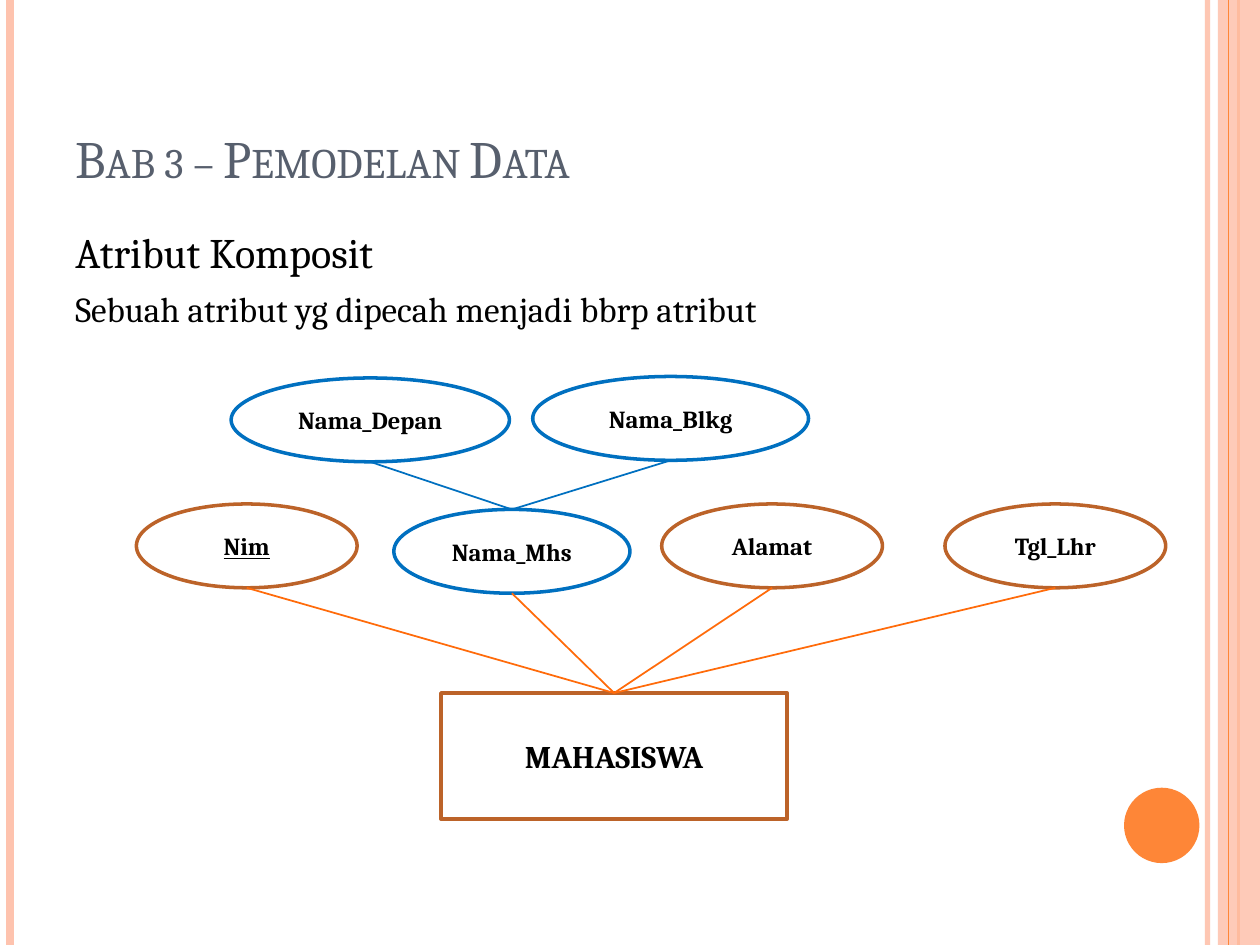
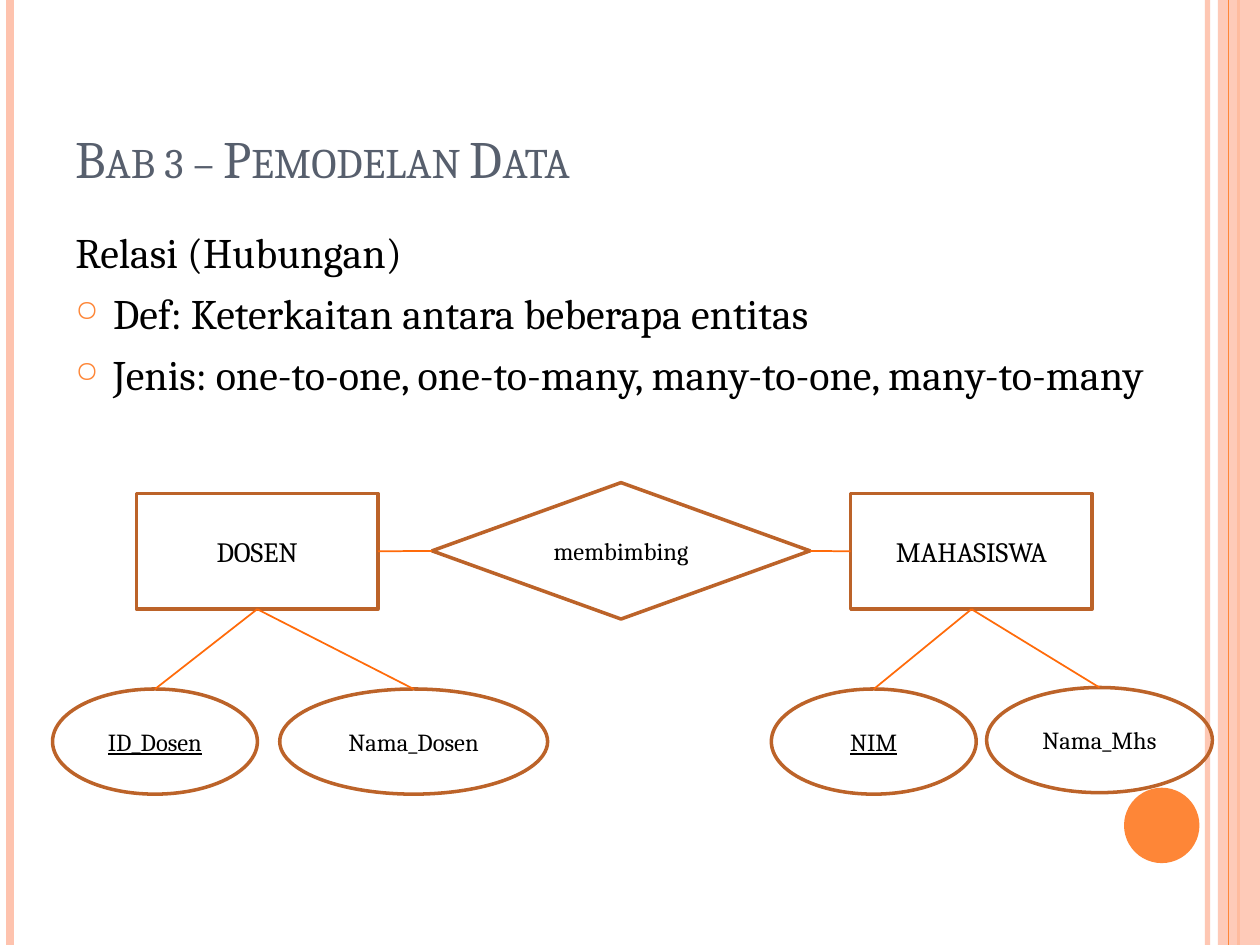
"""Builds two slides on data modelling: composite attributes and relations."""
from dataclasses import dataclass

from lxml import etree
from pptx import Presentation
from pptx.dml.color import RGBColor
from pptx.enum.shapes import MSO_CONNECTOR, MSO_SHAPE
from pptx.enum.text import MSO_ANCHOR, PP_ALIGN
from pptx.oxml.ns import qn
from pptx.util import Cm, Pt

RECTANGLE = MSO_SHAPE.RECTANGLE
ELLIPSE = MSO_SHAPE.OVAL
DIAMOND = MSO_SHAPE.FLOWCHART_DECISION
STRAIGHT = MSO_CONNECTOR.STRAIGHT
MIDDLE, BOTTOM, TOP = MSO_ANCHOR.MIDDLE, MSO_ANCHOR.BOTTOM, MSO_ANCHOR.TOP
CENTER = PP_ALIGN.CENTER


@dataclass(frozen=True)
class Theme:
    font: str = "Cambria"
    title: str = "575F6D"
    text: str = "000000"
    accent: str = "FE8637"
    band: str = "FEC3AE"
    outline: str = "BC6329"
    link: str = "FF6B0A"
    composite: str = "0070C0"
    title_size: float = 30
    body_size: float = 24
    detail_size: float = 20
    attribute_size: float = 14
    outline_width: float = 2
    link_width: float = 1


THEME = Theme()
WIDTH, HEIGHT = 25.4, 19.05
TITLE = "Bab 3 – Pemodelan Data"
TITLE_BOX = (1.27, 0.76, 20.75, 3.18)
SIDES = {"top": (0.5, 0), "bottom": (0.5, 1), "left": (0, 0.5), "right": (1, 0.5)}

# Each node: name, shape, box in cm, outline, key attribute.
# Each link: start name, start side, end name, end side, colour.
SLIDES = [
    {
        "body_width": 20.75,
        "body": [
            ("Atribut Komposit", THEME.body_size, False),
            ("Sebuah atribut yg dipecah menjadi bbrp atribut", THEME.detail_size, False),
        ],
        "bold": True,
        "entity_size": 18,
        "nodes": [
            ("MAHASISWA", RECTANGLE, (8.89, 13.97, 6.98, 2.54), THEME.outline, False),
            ("Nim", ELLIPSE, (2.75, 10.16, 4.45, 1.69), THEME.outline, True),
            ("Nama_Mhs", ELLIPSE, (7.94, 10.27, 4.76, 1.69), THEME.composite, False),
            ("Alamat", ELLIPSE, (13.34, 10.16, 4.45, 1.69), THEME.outline, False),
            ("Tgl_Lhr", ELLIPSE, (19.05, 10.16, 4.45, 1.69), THEME.outline, False),
            ("Nama_Depan", ELLIPSE, (4.66, 7.62, 5.61, 1.69), THEME.composite, False),
            ("Nama_Blkg", ELLIPSE, (10.74, 7.59, 5.56, 1.69), THEME.composite, False),
        ],
        "links": [
            *[("MAHASISWA", "top", name, "bottom", THEME.link)
              for name in ("Nim", "Nama_Mhs", "Alamat", "Tgl_Lhr")],
            *[("Nama_Mhs", "top", name, "bottom", THEME.composite)
              for name in ("Nama_Depan", "Nama_Blkg")],
        ],
    },
    {
        "body_width": 22.43,
        "body": [
            ("Relasi (Hubungan)", THEME.body_size, False),
            ("Def: Keterkaitan antara beberapa entitas", THEME.body_size, True),
            ("Jenis: one-to-one, one-to-many, many-to-one, many-to-many",
             THEME.body_size, True),
        ],
        "bold": False,
        "entity_size": 16,
        "nodes": [
            ("DOSEN", RECTANGLE, (2.75, 9.95, 4.87, 2.33), THEME.outline, False),
            ("MAHASISWA", RECTANGLE, (17.15, 9.95, 4.87, 2.33), THEME.outline, False),
            ("membimbing", DIAMOND, (8.71, 9.73, 7.62, 2.75), THEME.outline, False),
            ("ID_Dosen", ELLIPSE, (1.06, 13.89, 4.13, 2.12), THEME.outline, True),
            ("Nama_Dosen", ELLIPSE, (5.64, 13.89, 5.4, 2.12), THEME.outline, False),
            ("NIM", ELLIPSE, (15.55, 13.89, 4.13, 2.12), THEME.outline, True),
            ("Nama_Mhs", ELLIPSE, (19.89, 13.86, 4.55, 2.12), THEME.outline, False),
        ],
        "links": [
            *[(entity, "bottom", name, "top", THEME.link)
              for entity, name in (("DOSEN", "ID_Dosen"), ("DOSEN", "Nama_Dosen"),
                                   ("MAHASISWA", "NIM"), ("MAHASISWA", "Nama_Mhs"))],
            ("DOSEN", "right", "membimbing", "left", THEME.link),
            ("membimbing", "right", "MAHASISWA", "left", THEME.link),
        ],
    },
]


def lengths(values):
    return [Cm(value) for value in values]


def rgb(color):
    return RGBColor.from_string(color)


def set_opacity(shape, percent):
    for color in shape.element.iter(qn("a:srgbClr")):
        etree.SubElement(color, qn("a:alpha"), val=str(percent * 1000))


def add_line(slide, start, end, color, width):
    line = slide.shapes.add_connector(STRAIGHT, *lengths((*start, *end)))
    line.line.color.rgb = rgb(color)
    line.line.width = Pt(width)
    etree.SubElement(line.element.spPr, qn("a:effectLst"))
    return line


def add_filled(slide, kind, box, color):
    shape = slide.shapes.add_shape(kind, *lengths(box))
    shape.shadow.inherit = False
    shape.fill.solid()
    shape.fill.fore_color.rgb = rgb(color)
    shape.line.fill.background()
    return shape


def style_font(font, size, color=THEME.text):
    font.name = THEME.font
    font.size = Pt(size)
    font.color.rgb = rgb(color)


def add_vertical(slide, x, color, width):
    return add_line(slide, (x, 0), (x, HEIGHT), color, width)


def add_frame(slide):
    set_opacity(add_vertical(slide, 24.34, THEME.band, 3), 93)
    add_vertical(slide, 0.21, THEME.band, 4.5)
    add_vertical(slide, 24.97, THEME.accent, 1.5)
    set_opacity(add_filled(slide, RECTANGLE, (24.55, 0, 0.85, HEIGHT), THEME.band), 87)
    add_vertical(slide, 24.76, THEME.accent, 0.75)
    add_filled(slide, ELLIPSE, (22.66, 15.88, 1.52, 1.52), THEME.accent)


def add_text_frame(slide, box, anchor):
    text_frame = slide.shapes.add_textbox(*lengths(box)).text_frame
    text_frame.word_wrap = True
    text_frame.vertical_anchor = anchor
    return text_frame


def add_title(slide):
    text_frame = add_text_frame(slide, TITLE_BOX, BOTTOM)
    text_frame.text = TITLE
    run = text_frame.paragraphs[0].runs[0]
    style_font(run.font, THEME.title_size, THEME.title)
    run.font.element.set("cap", "small") if hasattr(run.font, "element") else \
        run._r.get_or_add_rPr().set("cap", "small")


def add_bullet(paragraph):
    properties = paragraph._p.get_or_add_pPr()
    properties.set("marL", str(Cm(0.76)))
    properties.set("indent", str(-Cm(0.76)))
    color = etree.SubElement(properties, qn("a:buClr"))
    etree.SubElement(color, qn("a:srgbClr"), val=THEME.accent)
    etree.SubElement(properties, qn("a:buSzPct"), val="70000")
    etree.SubElement(properties, qn("a:buChar"), char="○")


def add_body(slide, lines, width):
    text_frame = add_text_frame(slide, (1.27, 4.45, width, 13.54), TOP)
    for index, (text, size, bulleted) in enumerate(lines):
        paragraph = text_frame.add_paragraph() if index else text_frame.paragraphs[0]
        paragraph.text = text
        if index:
            paragraph.space_before = Pt(6)
        if bulleted:
            add_bullet(paragraph)
        style_font(paragraph.runs[0].font, size)


def add_node(slide, node, entity_size, bold):
    name, kind, box, color, is_key = node
    shape = slide.shapes.add_shape(kind, *lengths(box))
    shape.shadow.inherit = False
    shape.fill.background()
    shape.line.color.rgb = rgb(color)
    shape.line.width = Pt(THEME.outline_width)
    shape.text_frame.text = name
    shape.text_frame.word_wrap = True
    shape.text_frame.vertical_anchor = MIDDLE
    paragraph = shape.text_frame.paragraphs[0]
    paragraph.alignment = CENTER
    font = paragraph.runs[0].font
    style_font(font, entity_size if kind == RECTANGLE else THEME.attribute_size)
    font.bold = bold
    font.underline = is_key


def side_point(box, side):
    left, top, width, height = box
    across, down = SIDES[side]
    return left + across * width, top + down * height


def add_diagram(slide, content):
    boxes = {node[0]: node[2] for node in content["nodes"]}
    for node in content["nodes"]:
        add_node(slide, node, content["entity_size"], content["bold"])
    for start, start_side, end, end_side, color in content["links"]:
        add_line(slide, side_point(boxes[start], start_side),
                 side_point(boxes[end], end_side), color, THEME.link_width)


def main():
    presentation = Presentation()
    presentation.slide_width, presentation.slide_height = lengths((WIDTH, HEIGHT))
    blank = presentation.slide_layouts[6]
    for content in SLIDES:
        slide = presentation.slides.add_slide(blank)
        add_frame(slide)
        add_title(slide)
        add_body(slide, content["body"], content["body_width"])
        add_diagram(slide, content)
    presentation.save("out.pptx")


if __name__ == "__main__":
    main()
